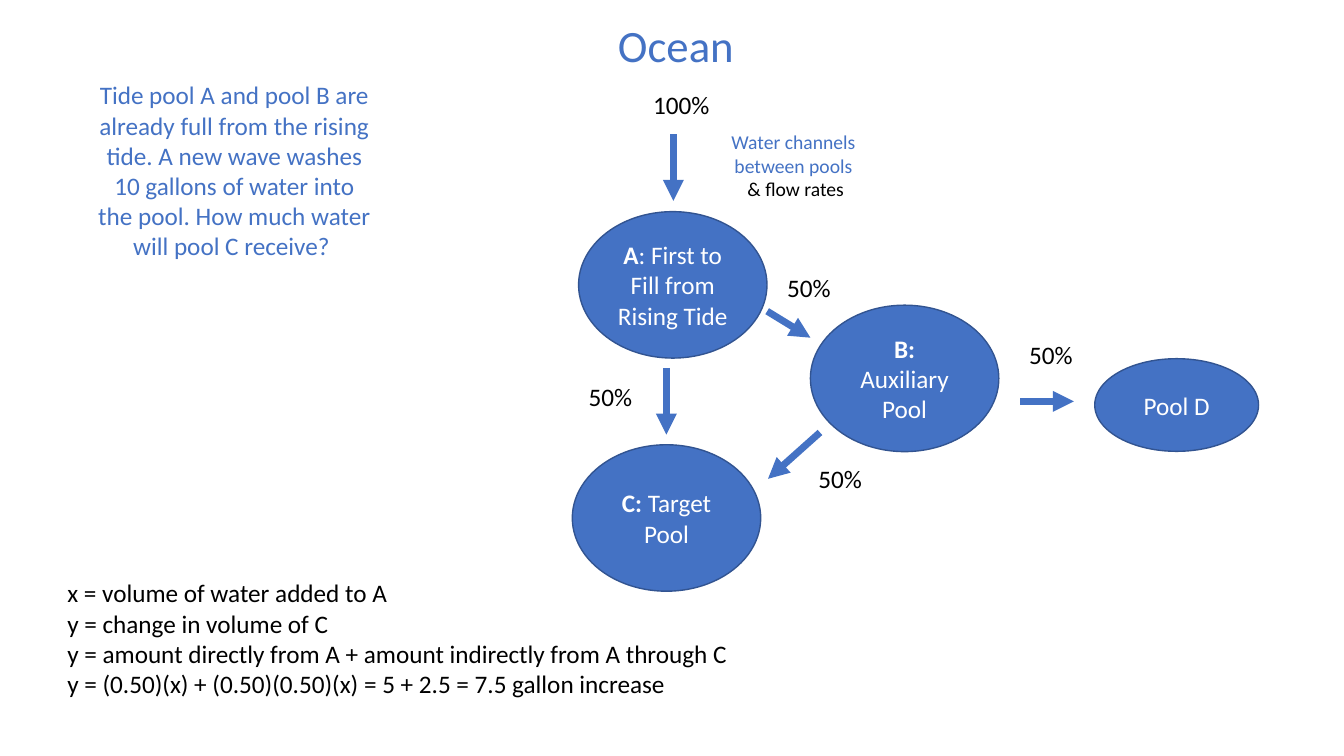
from dataclasses import dataclass

from lxml import etree
from pptx import Presentation
from pptx.dml.color import RGBColor
from pptx.enum.shapes import MSO_CONNECTOR, MSO_SHAPE
from pptx.enum.text import MSO_ANCHOR, PP_ALIGN
from pptx.oxml.ns import qn
from pptx.shapes.autoshape import Shape
from pptx.slide import Slide
from pptx.util import Pt

ELLIPSE = MSO_SHAPE.OVAL
STRAIGHT = MSO_CONNECTOR.STRAIGHT
LEFT, CENTER = PP_ALIGN.LEFT, PP_ALIGN.CENTER
TOP, MIDDLE = MSO_ANCHOR.TOP, MSO_ANCHOR.MIDDLE

FONT = "Calibri"
COLORS = {"water": "4472C4", "rim": "325491", "white": "FFFFFF", "black": "000000"}


@dataclass(frozen=True)
class Span:
    text: str
    bold: bool = False
    color: str | None = None


@dataclass(frozen=True)
class Pool:
    left: float
    top: float
    label: list[Span]
    width: float = 134.6
    height: float = 104.6


@dataclass(frozen=True)
class Channel:
    start: tuple[float, float]
    end: tuple[float, float]


@dataclass(frozen=True)
class FlowRate:
    left: float
    top: float
    text: str = "50%"
    width: float = 46


def rgb(name: str) -> RGBColor:
    return RGBColor.from_string(COLORS[name])


def write_text(shape: Shape, lines: list[list[Span]], *, size: float = 18,
               color: str = "black", align: PP_ALIGN = LEFT,
               anchor: MSO_ANCHOR = TOP, wrap: bool = True) -> None:
    frame = shape.text_frame
    frame.word_wrap = wrap
    frame.vertical_anchor = anchor
    for index, spans in enumerate(lines):
        paragraph = frame.add_paragraph() if index else frame.paragraphs[0]
        paragraph.alignment = align
        for span in spans:
            run = paragraph.add_run()
            run.text = span.text
            run.font.name = FONT
            run.font.size = Pt(size)
            run.font.bold = span.bold
            run.font.color.rgb = rgb(span.color or color)


def add_box(slide: Slide, left: float, top: float, width: float, height: float) -> Shape:
    return slide.shapes.add_textbox(Pt(left), Pt(top), Pt(width), Pt(height))


def draw_pool(slide: Slide, pool: Pool) -> None:
    ellipse = slide.shapes.add_shape(
        ELLIPSE, Pt(pool.left), Pt(pool.top), Pt(pool.width), Pt(pool.height))
    ellipse.shadow.inherit = False
    ellipse.fill.solid()
    ellipse.fill.fore_color.rgb = rgb("water")
    ellipse.line.color.rgb = rgb("rim")
    ellipse.line.width = Pt(1)
    write_text(ellipse, [pool.label], color="white", align=CENTER, anchor=MIDDLE)


def draw_channel(slide: Slide, channel: Channel) -> None:
    arrow = slide.shapes.add_connector(
        STRAIGHT, *(Pt(value) for value in channel.start + channel.end))
    arrow.line.color.rgb = rgb("water")
    arrow.line.width = Pt(5)
    etree.SubElement(arrow.line._get_or_add_ln(), qn("a:tailEnd"), type="triangle")
    etree.SubElement(arrow._element.spPr, qn("a:effectLst"))


def draw_flow_rate(slide: Slide, rate: FlowRate) -> None:
    box = add_box(slide, rate.left, rate.top, rate.width, 29)
    write_text(box, [[Span(rate.text)]], wrap=False)


POOLS = [
    Pool(413.3, 151.2, [Span("A", bold=True), Span(": First to Fill from Rising Tide")]),
    Pool(578.9, 218, [Span("B: ", bold=True), Span("Auxiliary Pool")]),
    Pool(408.8, 317.7, [Span("C: ", bold=True), Span("Target Pool")]),
    Pool(782, 256.2, [Span("Pool D")], width=117, height=66.2),
]
CHANNELS = [
    Channel((481, 95.8), (481, 143.5)),
    Channel((548, 222.3), (578.9, 241.2)),
    Channel((476, 262.8), (476, 310.5)),
    Channel((728.6, 286.7), (767, 286.7)),
    Channel((585.7, 308.9), (548.6, 342)),
]
FLOW_RATES = [
    FlowRate(459.4, 60, "100%", width=55.4),
    FlowRate(555.1, 190.8),
    FlowRate(413.3, 268.6),
    FlowRate(577.4, 327.4),
    FlowRate(728, 239),
]
QUESTION = (
    "Tide pool A and pool B are already full from the rising tide. "
    "A new wave washes 10 gallons of water into the pool. "
    "How much water will pool C receive? "
)
SOLUTION = [
    "x = volume of water added to A",
    "y = change in volume of C",
    "y = amount directly from A + amount indirectly from A through C ",
    "y = (0.50)(x) + (0.50)(0.50)(x) = 5 + 2.5 = 7.5 gallon increase ",
]
CHANNEL_KEY = [
    [Span("Water channels ")],
    [Span("between pools ")],
    [Span("& flow rates", color="black")],
]

presentation = Presentation()
presentation.slide_width = Pt(960)
presentation.slide_height = Pt(540)
slide = presentation.slides.add_slide(presentation.slide_layouts[6])

for pool in POOLS:
    draw_pool(slide, pool)
for channel in CHANNELS:
    draw_channel(slide, channel)
for rate in FLOW_RATES:
    draw_flow_rate(slide, rate)

ocean = add_box(slide, 409, 9.4, 147.6, 46)
write_text(ocean, [[Span("Ocean")]], size=32, color="water", align=CENTER)
question = add_box(slide, 60.5, 53.3, 213.8, 138.2)
write_text(question, [[Span(QUESTION)]], color="water", align=CENTER)
solution = add_box(slide, 41, 409, 515.5, 94.3)
write_text(solution, [[Span(step)] for step in SOLUTION])
channel_key = add_box(slide, 491, 89.3, 154.8, 58.3)
write_text(channel_key, CHANNEL_KEY, size=14, color="water", align=CENTER)

presentation.save("out.pptx")
